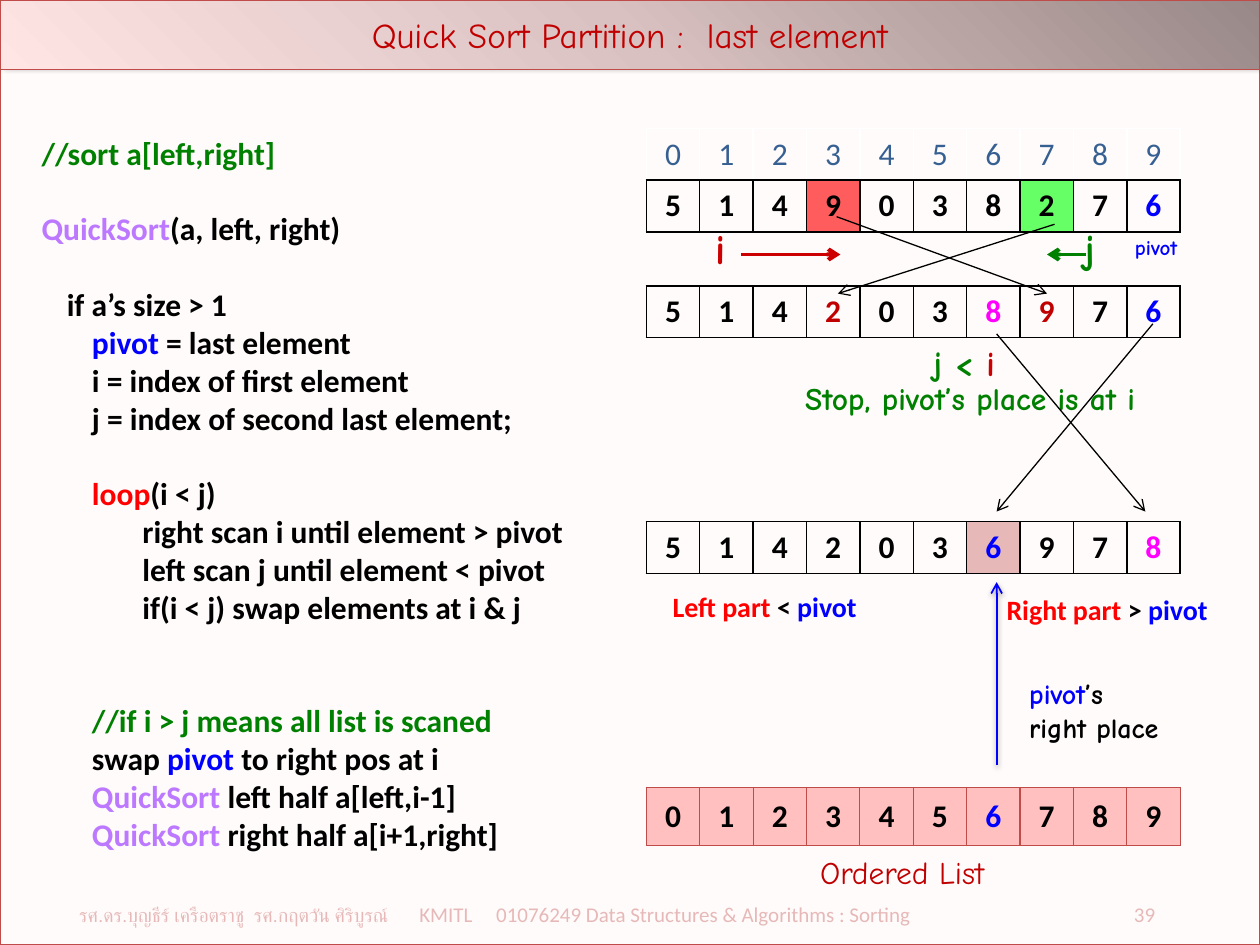
from copy import deepcopy

from pptx import Presentation
from pptx.dml.color import RGBColor
from pptx.enum.shapes import MSO_CONNECTOR as Connector, MSO_SHAPE as Shape
from pptx.enum.text import MSO_ANCHOR as Anchor, MSO_AUTO_SIZE as AutoSize
from pptx.enum.text import PP_ALIGN as Align
from pptx.oxml.ns import qn
from pptx.util import Inches, Pt
from lxml.etree import SubElement

BLACK, BLUE, GREEN, RED = "000000", "0000FF", "008000", "FF0000"
CRIMSON, SCARLET, MAGENTA, VIOLET = "C00000", "CC0000", "FF00FF", "BC79FF"
WHITE, ROSE, FRAME = "FFFFFF", "E6B9B8", "BF4C48"
SANS, COMIC = "Calibri", "Comic Neue"
SOFT_SHADOW, TITLE_SHADOW = (38, 3.1, 1.6, 90), (40, 4, 3, 315)
TEXT_SHADOW = (40, 3, 3, 45)

# indent level, blank lines above, coloured parts
CODE = [
    (0, 0, [("//sort a[left,right]", GREEN)]),
    (0, 1, [("QuickSort", VIOLET), ("(a, left, right)", BLACK)]),
    (1, 1, [("if a’s size > 1", BLACK)]),
    (2, 0, [("pivot", BLUE), (" = last element", BLACK)]),
    (2, 0, [("i = index of first element", BLACK)]),
    (2, 0, [("j = index of second last element;", BLACK)]),
    (2, 1, [("loop", RED), ("(i < j)", BLACK)]),
    (4, 0, [("right scan i until element > pivot", BLACK)]),
    (4, 0, [("left scan j until element < pivot", BLACK)]),
    (4, 0, [("if(i < j) swap elements at i & j", BLACK)]),
    (2, 2, [("//if i > j means all list is scaned", GREEN)]),
    (2, 0, [("swap ", BLACK), ("pivot", BLUE), (" to right pos at i", BLACK)]),
    (2, 0, [("QuickSort ", VIOLET), ("left half a[left,i-1]", BLACK)]),
    (2, 0, [("QuickSort", VIOLET), (" right half a[i+1,right]", BLACK)]),
]


def rgb(code):
    """Return the colour for a hex string."""
    return RGBColor.from_string(code)


def place(shape, left, top, width, height):
    """Move and size a shape in inches."""
    shape.left, shape.top = Inches(left), Inches(top)
    shape.width, shape.height = Inches(width), Inches(height)


def add_effects(props, shadow=None):
    """Append an effect list, with an outer shadow if one is given."""
    effects = SubElement(props, qn("a:effectLst"))
    if shadow:
        alpha, blur, distance, angle = shadow
        outer = SubElement(effects, qn("a:outerShdw"), blurRad=str(Pt(blur)),
                           dist=str(Pt(distance)), dir=str(angle * 60000), rotWithShape="0")
        tint = SubElement(outer, qn("a:srgbClr"), val=BLACK)
        SubElement(tint, qn("a:alpha"), val=str(alpha * 1000))
    return effects


def style(font, size, face, color, bold=False):
    """Set the look of a font."""
    font.size, font.name, font.bold = Pt(size), face, bold
    font.color.rgb = rgb(color)


def write(paragraph, parts, size, face, bold=False, shadow=None):
    """Fill a paragraph with coloured parts."""
    for text, color in parts:
        run = paragraph.add_run()
        run.text = text
        style(run.font, size, face, color, bold)
        if shadow:
            props = run.font._element
            props.find(qn("a:solidFill")).addnext(add_effects(props, shadow))


def add_label(slide, box, lines, size, face, bold=True, shadow=None):
    """Add a text box with one list of coloured parts per line."""
    frame = slide.shapes.add_textbox(*map(Inches, box)).text_frame
    frame.word_wrap = True
    for number, parts in enumerate(lines):
        paragraph = frame.add_paragraph() if number else frame.paragraphs[0]
        write(paragraph, parts, size, face, bold, shadow)
    return frame


def add_index(slide, left, width, letter, color):
    """Add the letter of a scanning index, centred on its place."""
    frame = add_label(slide, (left, 1.72, width, 0.39), [[(letter, color)]], 24, COMIC,
                      shadow=TEXT_SHADOW)
    frame.margin_left = frame.margin_right = 0
    frame.paragraphs[0].alignment = Align.CENTER


def add_arrow(slide, start, end, color=BLACK, weight=0.75, shadow=None):
    """Add a line with an open arrowhead at its end."""
    points = map(Inches, (*start, *end))
    arrow = slide.shapes.add_connector(Connector.STRAIGHT, *points)
    arrow.line.color.rgb, arrow.line.width = rgb(color), Pt(weight)
    SubElement(arrow.line._ln, qn("a:tailEnd"), type="arrow")
    add_effects(arrow._element.spPr, shadow)


def set_borders(cell, colors, weight):
    """Draw the left, right, top and bottom borders of a cell."""
    props = cell._tc.get_or_add_tcPr()
    for place_in_order, (side, color) in enumerate(zip("LRTB", colors)):
        border = SubElement(props, qn(f"a:ln{side}"), w=str(Pt(weight)))
        SubElement(SubElement(border, qn("a:solidFill")), qn("a:srgbClr"), val=color)
        props.insert(place_in_order, border)


def fill_cell(cell, text, color, bold, fill, borders, weight):
    """Write and format one array cell."""
    cell.text, cell.vertical_anchor = text, Anchor.MIDDLE
    paragraph = cell.text_frame.paragraphs[0]
    paragraph.alignment = Align.CENTER
    style(paragraph.runs[0].font, 18, SANS, color, bold)
    if fill:
        cell.fill.solid()
        cell.fill.fore_color.rgb = rgb(fill)
    else:
        cell.fill.background()
    set_borders(cell, borders, weight)


def add_array(slide, top, values, colors, fills=None, height=0.41, indexed=False,
              fill=None, edge=BLACK, weight=1):
    """Add an array as a table, with a row of indexes above it if asked."""
    rows = 2 if indexed else 1
    box = map(Inches, (5.13, top, 4.24, height * rows))
    table = slide.shapes.add_table(rows, len(values), *box).table
    table.first_row = table.horz_banding = False
    for column, value in enumerate(values):
        if indexed:
            fill_cell(table.cell(0, column), str(column), "376092", False, None,
                      (WHITE, WHITE, WHITE, edge), weight)
        fill_cell(table.cell(rows - 1, column), value, colors.get(column, BLACK), True,
                  (fills or {}).get(column, fill), (edge,) * 4, weight)


def format_title(title):
    """Turn the title into a shaded band."""
    place(title, 0, 0, 10, 0.55)
    title.fill.gradient()
    stops = title.fill._fill._gradFill.find(qn("a:gsLst"))
    stops.insert(1, deepcopy(stops[0]))
    shades = (0, "988887"), (0.5, "D8C1C0"), (1, "FFE6E5")
    for stop, (position, color) in zip(title.fill.gradient_stops, shades):
        stop.position, stop.color.rgb = position, rgb(color)
    title.fill.gradient_angle = 225
    title.line.color.rgb, title.line.width = rgb(FRAME), Pt(0.75)
    add_effects(title._element.spPr, TITLE_SHADOW)
    title.text_frame.text = "Quick Sort Partition :  last element"
    title.text_frame.vertical_anchor = Anchor.MIDDLE
    heading = title.text_frame.paragraphs[0]
    heading.alignment = Align.CENTER
    style(heading.runs[0].font, 20, COMIC, CRIMSON)


def write_code(body):
    """Write the pseudocode into the body placeholder."""
    place(body, 0.23, 1.01, 4.38, 5.86)
    frame = body.text_frame
    frame.auto_size = AutoSize.NONE
    for number, (level, blanks, parts) in enumerate(CODE):
        line = frame.add_paragraph() if number else frame.paragraphs[0]
        props = line._p.get_or_add_pPr()
        props.set("marL", str(Inches(0.2 * level)))
        props.set("indent", "0")
        line.space_before = Pt(21.7 * blanks)
        SubElement(props, qn("a:buNone"))
        write(line, parts, 18, SANS, True)


def add_panel(slide):
    """Add the tinted panel behind everything else."""
    panel = slide.shapes.add_shape(Shape.RECTANGLE, *map(Inches, (0, 0.55, 10, 6.95)))
    panel.fill.solid()
    panel.fill.fore_color.rgb = rgb("FFFBFB")
    panel.line.color.rgb, panel.line.width = rgb(FRAME), Pt(0.75)
    add_effects(panel._element.spPr, SOFT_SHADOW)
    slide.shapes._spTree.insert(2, panel._element)


def add_footer(slide):
    """Add the footer line, spread out by tab stops."""
    footer = add_label(slide, (0.53, 7.11, 8.98, 0.37), [[]], 12, SANS).paragraphs[0]
    write(footer, [("รศ.ดร.บุญธีร์ เครือตราชู  รศ.กฤตวัน ศิริบูรณ์", ROSE)], 11, "Roboto")
    course = "\tKMITL\t01076249 Data Structures & Algorithms : Sorting\t39"
    write(footer, [(course, ROSE)], 12, SANS)
    tabs = SubElement(footer._p.get_or_add_pPr(), qn("a:tabLst"))
    for position, align in (2.7, "l"), (3.31, "l"), (8.54, "r"):
        SubElement(tabs, qn("a:tab"), pos=str(Inches(position)), algn=align)


def main():
    """Build the slide and save it."""
    deck = Presentation()
    deck.slide_width, deck.slide_height = Inches(10), Inches(7.5)
    slide = deck.slides.add_slide(deck.slide_layouts[1])
    add_panel(slide)
    add_footer(slide)
    write_code(slide.placeholders[1])
    format_title(slide.shapes.title)

    add_array(slide, 1.02, "5149038276", {9: BLUE}, {3: "FF5D5D", 7: "66FF66"}, indexed=True)
    add_array(slide, 2.27, "5142038976", {3: CRIMSON, 6: MAGENTA, 7: CRIMSON, 9: BLUE})
    add_array(slide, 4.14, "5142036978", {6: BLUE, 9: MAGENTA}, {6: ROSE})
    add_array(slide, 6.25, "0123456789", {6: BLUE}, height=0.46, fill="FFC0BF",
              edge=FRAME, weight=0.75)

    add_index(slide, 5.64, 0.16, "i", SCARLET)
    add_index(slide, 8.54, 0.22, "j", GREEN)
    add_label(slide, (8.91, 1.81, 0.63, 0.31), [[("pivot", BLUE)]], 12, COMIC,
              shadow=TEXT_SHADOW)
    stop = add_label(slide, (6.02, 2.73, 3.36, 0.63),
                     [[("j < ", GREEN), ("i ", SCARLET)],
                      [("Stop, pivot’s place is at i", GREEN)]], 18, COMIC)
    for line in stop.paragraphs:
        line.alignment, line.line_spacing = Align.CENTER, Pt(19)
    for run in stop.paragraphs[0].runs:
        run.font.size = Pt(20)
    add_label(slide, (5.24, 4.63, 2.03, 0.37),
              [[("Left part ", RED), ("<", BLACK), (" pivot", BLUE)]], 16, SANS)
    add_label(slide, (7.89, 4.65, 1.91, 0.37),
              [[("Right part ", RED), ("> ", BLACK), ("pivot", BLUE)]], 16, SANS)
    add_label(slide, (8.07, 5.32, 1.48, 0.64),
              [[("pivot", BLUE), ("’s", BLACK)], [("right place", BLACK)]], 16, COMIC)
    add_label(slide, (6.41, 6.72, 1.95, 0.39), [[("Ordered List", CRIMSON)]], 18, COMIC,
              bold=False, shadow=TEXT_SHADOW)

    add_arrow(slide, (5.88, 2.02), (6.67, 2.02), SCARLET, 2.25)
    add_arrow(slide, (8.62, 2.02), (8.31, 2.02), GREEN, 2.25)
    add_arrow(slide, (7.91, 6.07), (7.91, 4.62), BLUE, 1, SOFT_SHADOW)
    swaps = [((8.37, 1.78), (6.65, 2.33)), ((6.64, 1.72), (8.31, 2.33)),
             ((9.15, 2.57), (7.91, 4.06)), ((7.91, 2.65), (9.09, 4.06))]
    for start, end in swaps:
        add_arrow(slide, start, end)
    deck.save("out.pptx")


if __name__ == "__main__":
    main()
